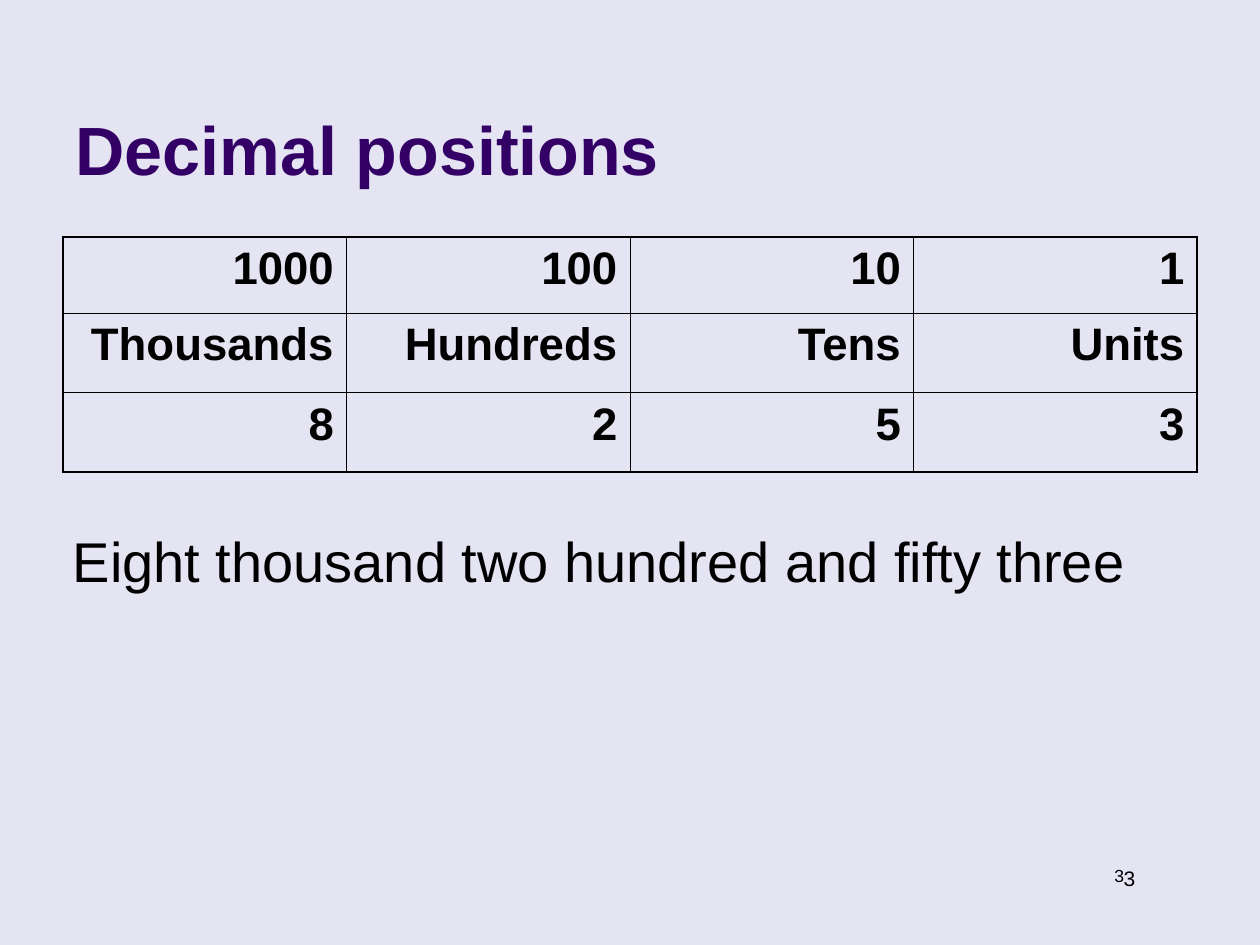
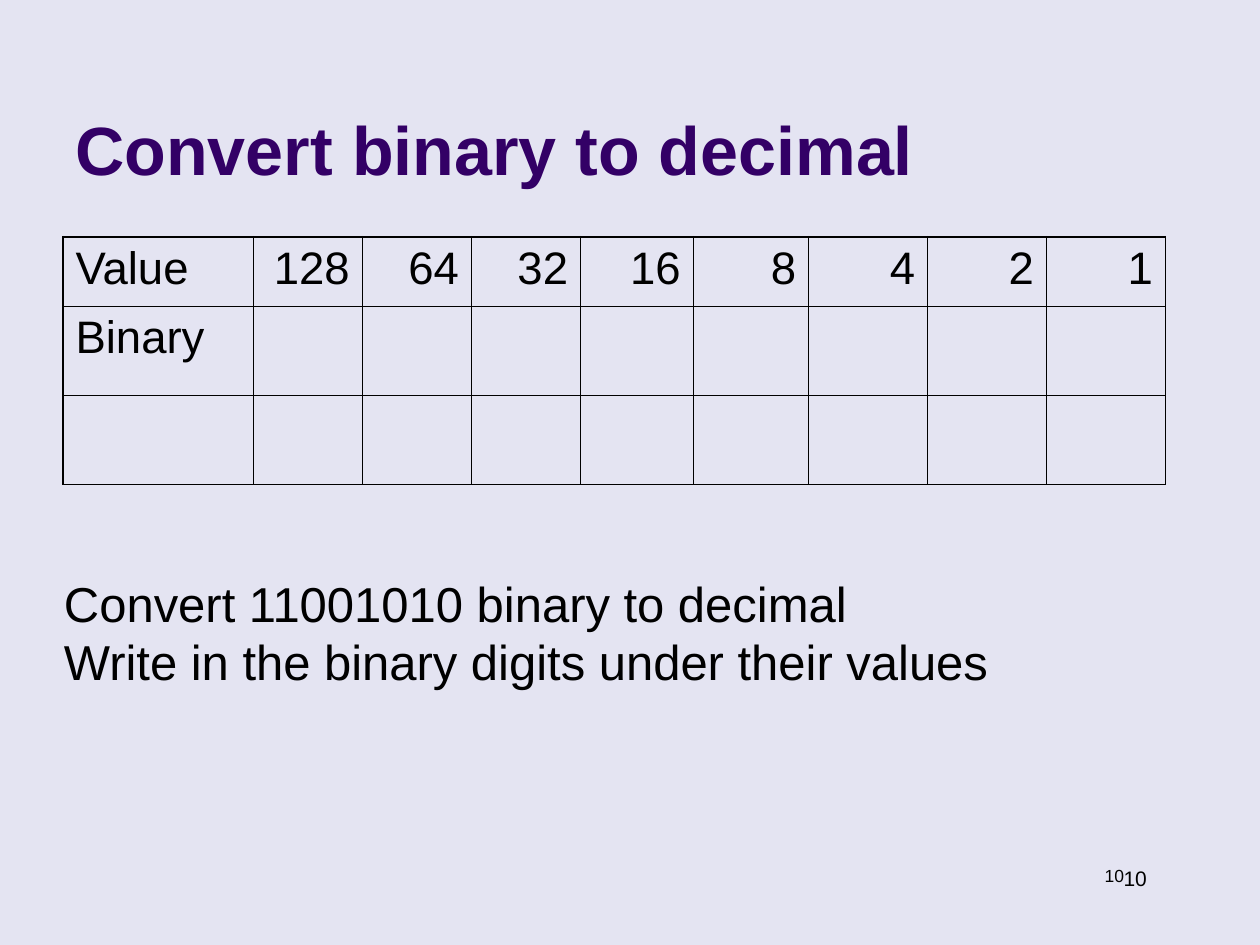
from dataclasses import dataclass

import pptx
import pptx.dml.color
import pptx.enum.text
import pptx.oxml.ns
import pptx.util
from lxml import etree

Pt = pptx.util.Pt
Align = pptx.enum.text.PP_ALIGN
Anchor = pptx.enum.text.MSO_ANCHOR


@dataclass(frozen=True)
class Theme:
    font: str = "Arial"
    background: str = "E4E4F2"
    title_color: str = "330066"
    ink: str = "000000"
    title_size: float = 39
    cell_size: float = 26
    small_number_size: float = 10
    number_size: float = 12
    outer_line: float = 1.08
    inner_line: float = 0.45


THEME = Theme()
TABLE_LEFT, TABLE_TOP = 36, 135.3


def rgb(value):
    return pptx.dml.color.RGBColor.from_string(value)


def style_paragraph(paragraph, size, color=THEME.ink, bold=False, align=Align.LEFT):
    paragraph.alignment = align
    font = paragraph.font
    font.name = THEME.font
    font.size = Pt(size)
    font.bold = bold
    font.color.rgb = rgb(color)


def add_text(slide, text, left, top, width, height, size, anchor=Anchor.TOP, **style):
    box = slide.shapes.add_textbox(Pt(left), Pt(top), Pt(width), Pt(height))
    frame = box.text_frame
    frame.word_wrap = True
    frame.vertical_anchor = anchor
    frame.text = text
    for paragraph in frame.paragraphs:
        style_paragraph(paragraph, size, **style)


def add_base_slide(deck, title, number):
    """Add a slide with the shared background, title and pair of page numbers."""
    slide = deck.slides.add_slide(deck.slide_layouts[6])
    fill = slide.background.fill
    fill.solid()
    fill.fore_color.rgb = rgb(THEME.background)
    add_text(slide, number, 501.8, 491, 147.6, 19.5, THEME.small_number_size,
             align=Align.RIGHT)
    add_text(slide, number, 635, 491, 69, 21.6, THEME.number_size)
    add_text(slide, title, 36, 9.4, 594, 102.2, THEME.title_size,
             anchor=Anchor.BOTTOM, color=THEME.title_color, bold=True)
    return slide


def set_borders(cell, outer_sides):
    properties = cell._tc.get_or_add_tcPr()
    for side in "LRTB":
        weight = THEME.outer_line if side in outer_sides else THEME.inner_line
        line = etree.SubElement(properties, pptx.oxml.ns.qn(f"a:ln{side}"),
                                w=str(int(Pt(weight))))
        solid = etree.SubElement(line, pptx.oxml.ns.qn("a:solidFill"))
        etree.SubElement(solid, pptx.oxml.ns.qn("a:srgbClr"), val=THEME.ink)


def add_place_value_table(slide, rows, widths, heights, bold=False, label_column=False):
    """Draw a framed grid; short rows leave their remaining cells empty."""
    table = slide.shapes.add_table(
        len(heights), len(widths), Pt(TABLE_LEFT), Pt(TABLE_TOP),
        Pt(sum(widths)), Pt(sum(heights))).table
    table.first_row = table.horz_banding = False
    for column, width in zip(table.columns, widths):
        column.width = Pt(width)
    for row, height in zip(table.rows, heights):
        row.height = Pt(height)

    last_row, last_column = len(heights) - 1, len(widths) - 1
    for r in range(len(heights)):
        for c in range(len(widths)):
            cell = table.cell(r, c)
            edges = {"L": c == 0, "R": c == last_column, "T": r == 0, "B": r == last_row}
            set_borders(cell, [side for side, is_outer in edges.items() if is_outer])
            cell.fill.background()
            if c < len(rows[r]):
                cell.text = rows[r][c]
            is_label = label_column and c == 0
            style_paragraph(cell.text_frame.paragraphs[0], THEME.cell_size, bold=bold,
                            align=Align.LEFT if is_label else Align.RIGHT)


def add_decimal_slide(deck):
    slide = add_base_slide(deck, "Decimal positions", "3")
    rows = [["1000", "100", "10", "1"],
            ["Thousands", "Hundreds", "Tens", "Units"],
            list("8253")]
    add_place_value_table(slide, rows, [162] * 4, [43.7, 45.4, 45.4], bold=True)
    add_text(slide, "Eight thousand two hundred and fifty three",
             34.5, 297.4, 630, 46, 32)


def add_binary_slide(deck):
    slide = add_base_slide(deck, "Convert binary to decimal", "10")
    place_values = [str(2 ** power) for power in range(7, -1, -1)]
    rows = [["Value", *place_values], ["Binary"], []]
    widths = [108.7] + [62.4] * 3 + [64.3, 66] + [68] * 3
    add_place_value_table(slide, rows, widths, [39.6, 51, 51], label_column=True)
    add_text(slide, "Convert 11001010 binary to decimal\n"
                    "Write in the binary digits under their values",
             29.5, 324, 636.5, 75, 28)


def main():
    deck = pptx.Presentation()
    deck.slide_width, deck.slide_height = Pt(720), Pt(540)
    add_decimal_slide(deck)
    add_binary_slide(deck)
    deck.save("out.pptx")


if __name__ == "__main__":
    main()
